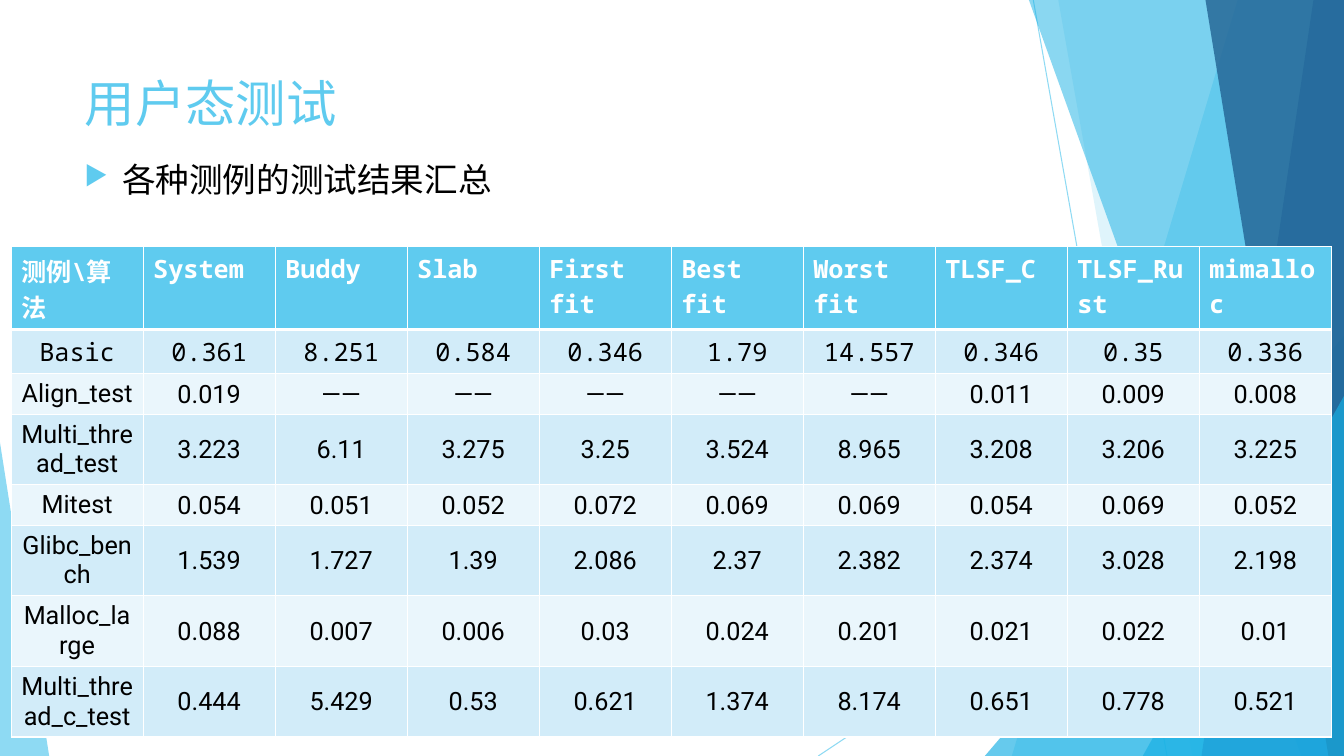
from pptx import Presentation
from pptx.dml.color import RGBColor
from pptx.enum.dml import MSO_FILL
from pptx.enum.shapes import MSO_CONNECTOR, MSO_SHAPE
from pptx.enum.text import MSO_ANCHOR, MSO_AUTO_SIZE, PP_ALIGN
from pptx.oxml import parse_xml
from pptx.oxml.ns import nsdecls, qn
from pptx.util import Cm, Pt
from lxml.etree import SubElement

COLORS = {
    "sky": "5FCBEF", "cyan": "17B0E4", "blue": "2E83C3", "navy": "226292",
    "white": "FFFFFF", "black": "000000", "band": "D2ECF9", "pale": "EAF6FC",
}
MONO, SANS = "Noto Sans Mono", "Roboto"
HEADERS = ["测例\\算法", "System", "Buddy", "Slab", "First fit", "Best fit",
           "Worst fit", "TLSF_C", "TLSF_Rust", "mimalloc"]
RESULTS = [
    "Basic 0.361 8.251 0.584 0.346 1.79 14.557 0.346 0.35 0.336",
    "Align_test 0.019 —— —— —— —— —— 0.011 0.009 0.008",
    "Multi_thread_test 3.223 6.11 3.275 3.25 3.524 8.965 3.208 3.206 3.225",
    "Mitest 0.054 0.051 0.052 0.072 0.069 0.069 0.054 0.069 0.052",
    "Glibc_bench 1.539 1.727 1.39 2.086 2.37 2.382 2.374 3.028 2.198",
    "Malloc_large 0.088 0.007 0.006 0.03 0.024 0.201 0.021 0.022 0.01",
    "Multi_thread_c_test 0.444 5.429 0.53 0.621 1.374 8.174 0.651 0.778 0.521",
]
ROW_HEIGHTS = [2.08, 1.12, 1, 1.75, 1, 1.75, 1.75, 1.75]


def rgb(name):
    """Return the named colour."""
    return RGBColor.from_string(COLORS[name])


def apply(obj, values):
    """Set every attribute in a dict of format values."""
    for name, value in values.items():
        setattr(obj, name, value)


def place(sp, box):
    """Move a shape to a box given in centimetres."""
    apply(sp, dict(zip(("left", "top", "width", "height"), map(Cm, box))))


def write(p, text, size, font, color, bold=False):
    """Add one formatted run to a paragraph."""
    r = p.add_run()
    r.text = text
    apply(r.font, {"size": Pt(size), "name": font, "bold": bold})
    r.font.color.rgb = rgb(color)


def paint(fmt, color, opacity):
    """Give a fill a translucent solid colour."""
    if fmt.type != MSO_FILL.SOLID:
        fmt.solid()
    fmt.fore_color.rgb = rgb(color)


def set_opacity(sp, opacity):
    """Set the opacity of every colour on a shape, in percent."""
    for clr in sp.element.spPr.iter(qn("a:srgbClr")):
        SubElement(clr, qn("a:alpha"), val=str(opacity * 1000))


def finish(sp, color, opacity):
    """Fill a decoration without outline or shadow."""
    sp.shadow.inherit = False
    sp.line.fill.background()
    paint(sp.fill, color, opacity)
    set_opacity(sp, opacity)


def add_background(s, box):
    """Draw the translucent facets along the edges of the box, behind the rest."""
    x, y, w, h = box
    group = s.shapes.add_group_shape()
    s.shapes.element.insert(2, group.element)

    def line(x1, y1, x2, y2):
        """Draw a thin slanted line."""
        c = group.shapes.add_connector(
            MSO_CONNECTOR.STRAIGHT, Cm(x + x1), Cm(y + y1), Cm(x + x2), Cm(y + y2))
        c.line.width = Pt(0.75)
        c.line.color.rgb = rgb("sky")
        set_opacity(c, 70)
        SubElement(c.element.spPr, qn("a:effectLst"))

    def facet(top, bottom, color, opacity):
        """Draw a full-height facet that reaches the right edge."""
        points = [(top, 0), (w, 0), (w, h), (bottom, h)]
        points = [(Cm(x + px), Cm(y + py)) for px, py in points]
        builder = group.shapes.build_freeform(*points[0])
        builder.add_line_segments(points[1:], close=True)
        finish(builder.convert_to_shape(), color, opacity)

    def corner(left, top, width, apex, color, opacity):
        """Draw a triangle that stands on the bottom edge."""
        sp = group.shapes.add_shape(
            MSO_SHAPE.ISOSCELES_TRIANGLE, Cm(x + left), Cm(y + top), Cm(width), Cm(h - top))
        sp.adjustments[0] = apex
        finish(sp, color, opacity)

    line(26.04, 0, 29.41, h)
    line(w, 10.24, 20.62, h)
    facet(31.19, 25.5, "sky", 36)
    facet(26.67, 30.05, "sky", 20)
    corner(24.82, 8.46, w - 24.82, 1, "cyan", 66)
    facet(25.93, 32.79, "cyan", 50)
    facet(33.1, 30.28, "blue", 70)
    facet(30.38, 33.48, "navy", 80)
    corner(28.8, 9.98, w - 28.8, 1, "cyan", 66)
    corner(0, 11.15, 1.24, 0, "sky", 70)


def add_title(s, box, text):
    """Format the title placeholder."""
    title = s.shapes.title
    place(title, box)
    tf = title.text_frame
    apply(tf, {"word_wrap": True, "auto_size": MSO_AUTO_SIZE.NONE,
               "vertical_anchor": MSO_ANCHOR.TOP})
    p = tf.paragraphs[0]
    p.alignment = PP_ALIGN.LEFT
    write(p, text, 36, MONO, "sky")


def add_summary(s, box, text):
    """Add the bulleted line below the title."""
    tf = s.shapes.add_textbox(*map(Cm, box)).text_frame
    tf.word_wrap = True
    p = tf.paragraphs[0]
    p.space_before = Pt(10)
    pPr = p._p.get_or_add_pPr()
    apply(pPr, {})
    pPr.set("marL", str(Cm(0.95)))
    pPr.set("indent", str(-Cm(0.95)))
    SubElement(SubElement(pPr, qn("a:buClr")), qn("a:srgbClr"), val=COLORS["sky"])
    SubElement(pPr, qn("a:buSzPct"), val="80000")
    SubElement(pPr, qn("a:buChar"), char="▶")
    write(p, text, 24, SANS, "black")


def set_borders(cell, row):
    """Draw white cell borders, thick under the header row."""
    widths = {"lnL": 1, "lnR": 1, "lnT": 3 if row == 1 else 1, "lnB": 3 if row == 0 else 1}
    for tag, width in widths.items():
        cell._tc.get_or_add_tcPr().append(parse_xml(
            f'<a:{tag} {nsdecls("a")} w="{Pt(width)}"><a:solidFill>'
            f'<a:srgbClr val="{COLORS["white"]}"/></a:solidFill></a:{tag}>'))


def add_results(s, box):
    """Add the table of test results by allocator."""
    rows = [HEADERS] + [line.split() for line in RESULTS]
    table = s.shapes.add_table(len(rows), len(HEADERS), *map(Cm, box)).table
    for column in table.columns:
        column.width = Cm(box[2] / len(HEADERS))
    for i, texts in enumerate(rows):
        table.rows[i].height = Cm(ROW_HEIGHTS[i])
        for j, text in enumerate(texts):
            cell = table.cell(i, j)
            set_borders(cell, i)
            cell.fill.solid()
            cell.fill.fore_color.rgb = rgb("sky" if i == 0 else "band" if i % 2 else "pale")
            p = cell.text_frame.paragraphs[0]
            write(p, text, 18, MONO if i < 2 else SANS, "black" if i else "white", i == 0)
            if i:
                p.alignment = PP_ALIGN.CENTER
                cell.vertical_anchor = MSO_ANCHOR.MIDDLE
            if i and j:
                apply(cell, {"margin_left": Cm(0.03), "margin_right": Cm(0.03),
                             "margin_top": Cm(0.03), "margin_bottom": 0})


def main():
    """Build and save the slide."""
    prs = Presentation()
    apply(prs, {"slide_width": Cm(33.87), "slide_height": Cm(19.05)})
    s = prs.slides.add_slide(prs.slide_layouts[5])
    add_background(s, (0, 0, 33.87, 19.05))
    add_title(s, (1.88, 1.7, 23.88, 3.66), "用户态测试")
    add_summary(s, (1.88, 3.89, 25.78, 14.73), "各种测例的测试结果汇总")
    add_results(s, (0.28, 6.22, 33.27, sum(ROW_HEIGHTS)))
    prs.save("out.pptx")


main()
